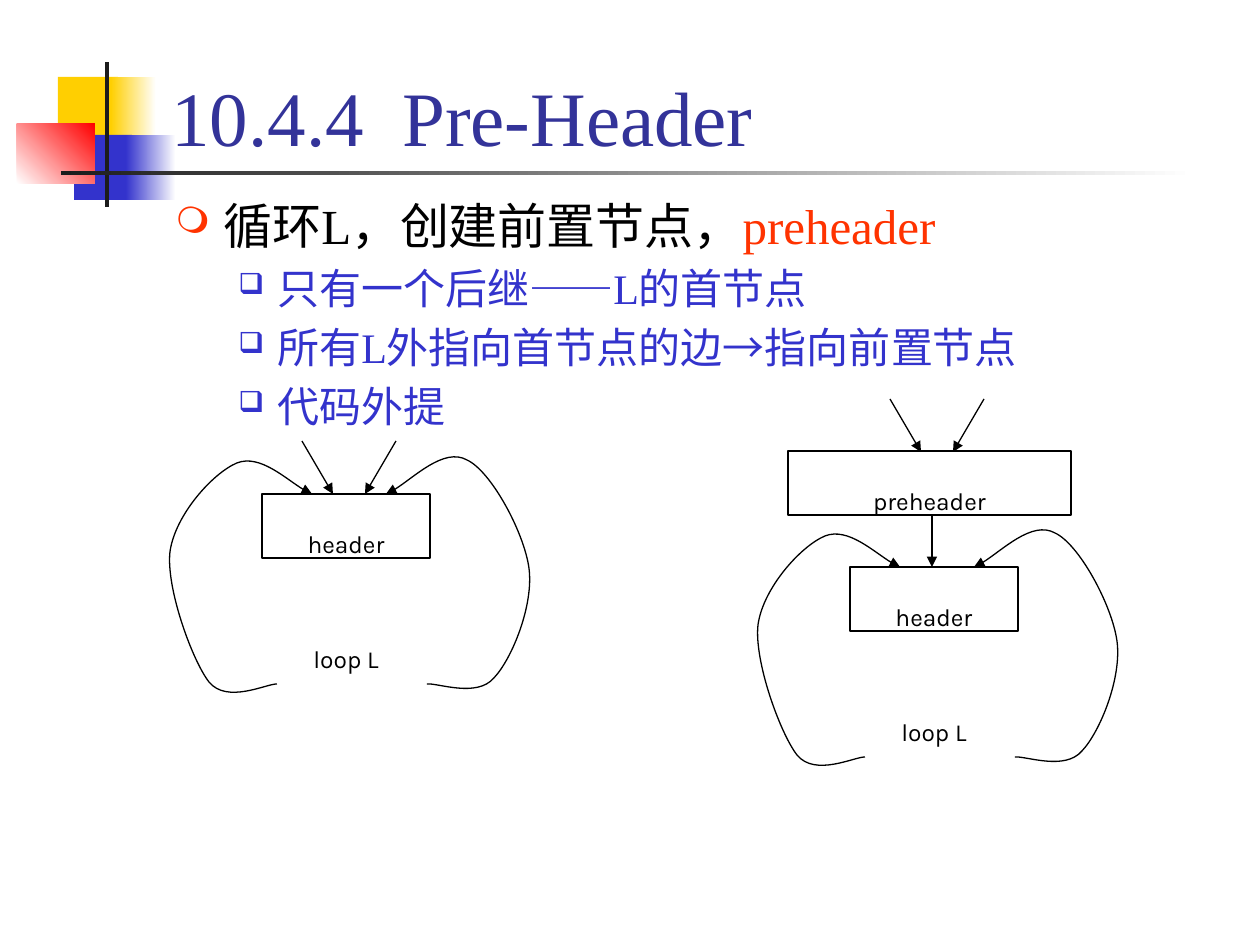
from lxml import etree
from pptx import Presentation
from pptx.dml.color import RGBColor
from pptx.enum.shapes import MSO_CONNECTOR, MSO_SHAPE
from pptx.enum.text import MSO_ANCHOR, PP_ALIGN
from pptx.oxml.ns import qn
from pptx.util import Pt

PX = 914400 / 126
RECTANGLE = MSO_SHAPE.RECTANGLE
STRAIGHT = MSO_CONNECTOR.STRAIGHT
TOP, BOTTOM = MSO_ANCHOR.TOP, MSO_ANCHOR.BOTTOM
CENTER = PP_ALIGN.CENTER

BLACK = RGBColor(0x00, 0x00, 0x00)
WHITE = RGBColor(0xFF, 0xFF, 0xFF)
YELLOW = RGBColor(0xFF, 0xCF, 0x01)
BLUE = RGBColor(0x33, 0x33, 0xCC)
RED = RGBColor(0xFF, 0x00, 0x00)
ORANGE = RGBColor(0xFF, 0x33, 0x00)
NAVY = RGBColor(0x33, 0x33, 0x99)
CHARCOAL = RGBColor(0x1C, 0x1C, 0x1C)


def emu(*lengths):
    return [round(length * PX) for length in lengths]


def apply(target, values):
    for name, value in values.items():
        setattr(target, name, value)


class SlideBuilder:
    serif = "Times New Roman"
    sans = "Karla"
    line_width = Pt(0.75)

    def __init__(self, slide):
        self.slide = slide

    def block(self, box, color, end=None, angle=0):
        shape = self.slide.shapes.add_shape(RECTANGLE, *emu(*box))
        shape.shadow.inherit = False
        shape.line.fill.background()
        if end is None:
            shape.fill.solid()
            shape.fill.fore_color.rgb = color
        else:
            shape.fill.gradient()
            shape.fill.gradient_angle = angle
            for stop, stop_color in zip(shape.fill.gradient_stops, (color, end)):
                stop.color.rgb = stop_color

    def text(self, box, anchor):
        shape = self.slide.shapes.add_textbox(*emu(*box))
        apply(shape.text_frame, {"word_wrap": True, "vertical_anchor": anchor})
        return shape.text_frame

    def run(self, paragraph, text, size, color, font=serif):
        run = paragraph.add_run()
        run.text = text
        apply(run.font, {"size": Pt(size), "name": font})
        run.font.color.rgb = color

    def bullet(self, paragraph, mark, color, percent, margin, hanging):
        properties = paragraph._p.get_or_add_pPr()
        properties.set("marL", str(emu(margin)[0]))
        properties.set("indent", str(-emu(hanging)[0]))
        bullet_color = etree.SubElement(properties, qn("a:buClr"))
        etree.SubElement(bullet_color, qn("a:srgbClr"), val=str(color))
        etree.SubElement(properties, qn("a:buSzPct"), val=str(percent * 1000))
        etree.SubElement(properties, qn("a:buChar"), char=mark)

    def outline(self, shape):
        shape.line.color.rgb = BLACK
        shape.line.width = self.line_width

    def arrowhead(self, shape):
        line = shape.element.spPr.find(qn("a:ln"))
        etree.SubElement(line, qn("a:tailEnd"), type="triangle")

    def label(self, box, text, framed=False):
        if framed:
            shape = self.slide.shapes.add_shape(RECTANGLE, *emu(*box))
            shape.shadow.inherit = False
            shape.fill.background()
            self.outline(shape)
        else:
            shape = self.slide.shapes.add_textbox(*emu(*box))
        frame = shape.text_frame
        apply(frame, {"word_wrap": True, "vertical_anchor": BOTTOM,
                      "margin_top": 0, "margin_bottom": 0})
        paragraph = frame.paragraphs[0]
        paragraph.alignment = CENTER
        self.run(paragraph, text, 14, BLACK, self.sans)

    def arrow(self, start, end):
        connector = self.slide.shapes.add_connector(STRAIGHT, *emu(*start, *end))
        self.outline(connector)
        self.arrowhead(connector)
        etree.SubElement(connector.element.spPr, qn("a:effectLst"))

    def curve(self, points, dx, dy):
        start, *rest = [emu(x + dx, y + dy) for x, y in points]
        builder = self.slide.shapes.build_freeform(*start)
        builder.add_line_segments(rest, close=False)
        shape = builder.convert_to_shape()
        outline = next(shape.element.iter(qn("a:path")))
        segments = outline.findall(qn("a:lnTo"))
        for first in range(0, len(segments), 3):
            bezier = etree.SubElement(outline, qn("a:cubicBezTo"))
            for segment in segments[first:first + 3]:
                bezier.append(segment[0])
                outline.remove(segment)
        shape.shadow.inherit = False
        shape.fill.background()
        self.outline(shape)
        self.arrowhead(shape)

    def incoming_arrows(self, center, top):
        for side in (-1, 1):
            self.arrow((center + 47 * side, top), (center + 16 * side, top + 53))

    def loop(self, dx=0, dy=0):
        self.label((262 + dx, 494 + dy, 168, 64), "header", framed=True)
        self.label((262 + dx, 610 + dy, 168, 63), "loop L")
        for points in (LEFT_BACK_EDGE, RIGHT_BACK_EDGE):
            self.curve(points, dx, dy)


LEFT_BACK_EDGE = [(277, 684), (266, 684), (227, 704), (209, 682),
                  (192, 660), (166, 588), (170, 552), (175, 515),
                  (213, 473), (237, 463), (260, 454), (296, 488), (312, 494)]
RIGHT_BACK_EDGE = [(427, 684), (438, 683), (477, 698), (494, 678),
                   (512, 659), (534, 605), (529, 568), (524, 532),
                   (491, 471), (467, 460), (444, 447), (403, 488), (386, 494)]

BLOCKS = [
    ((58, 77, 60, 65), YELLOW),
    ((111, 77, 45, 65), YELLOW, WHITE),
    ((74, 135, 58, 65), BLUE),
    ((126, 135, 50, 65), BLUE, WHITE),
    ((17, 124, 78, 60), WHITE, RED, 45),
    ((105, 62, 4, 145), CHARCOAL),
    ((61, 171, 1134, 4), CHARCOAL, WHITE),
]

MAIN_POINT = {"mark": "❍", "color": ORANGE, "percent": 75, "margin": 48, "hanging": 48}
SUB_POINT = {"mark": "❑", "color": BLUE, "percent": 69, "margin": 102, "hanging": 39}
BODY = [
    (MAIN_POINT, 28, [("循环L，创建前置节点，", BLACK), ("preheader", ORANGE)]),
    (SUB_POINT, 24, [("只有一个后继——L的首节点", BLUE)]),
    (SUB_POINT, 24, [("所有L外指向首节点的边→指向前置节点", BLUE)]),
    (SUB_POINT, 24, [("代码外提", BLUE)]),
]


def main():
    presentation = Presentation()
    apply(presentation, dict(zip(("slide_width", "slide_height"), emu(1260, 945))))
    slide = presentation.slides.add_slide(presentation.slide_layouts[6])
    builder = SlideBuilder(slide)

    for block in BLOCKS:
        builder.block(*block)

    title = builder.text((159, 10, 1074, 158), BOTTOM)
    builder.run(title.paragraphs[0], "10.4.4  Pre-Header", 44, NAVY)

    body = builder.text((163, 189, 1071, 651), TOP)
    for index, (bullet, size, runs) in enumerate(BODY):
        paragraph = body.add_paragraph() if index else body.paragraphs[0]
        paragraph.space_before = Pt(size * 0.2)
        builder.bullet(paragraph, **bullet)
        for text, color in runs:
            builder.run(paragraph, text, size, color)

    builder.incoming_arrows(349, 441)
    builder.loop()

    builder.incoming_arrows(937, 399)
    builder.label((788, 451, 283, 64), "preheader", framed=True)
    builder.arrow((932, 515), (932, 567))
    builder.loop(588, 73)

    presentation.save("out.pptx")


if __name__ == "__main__":
    main()
